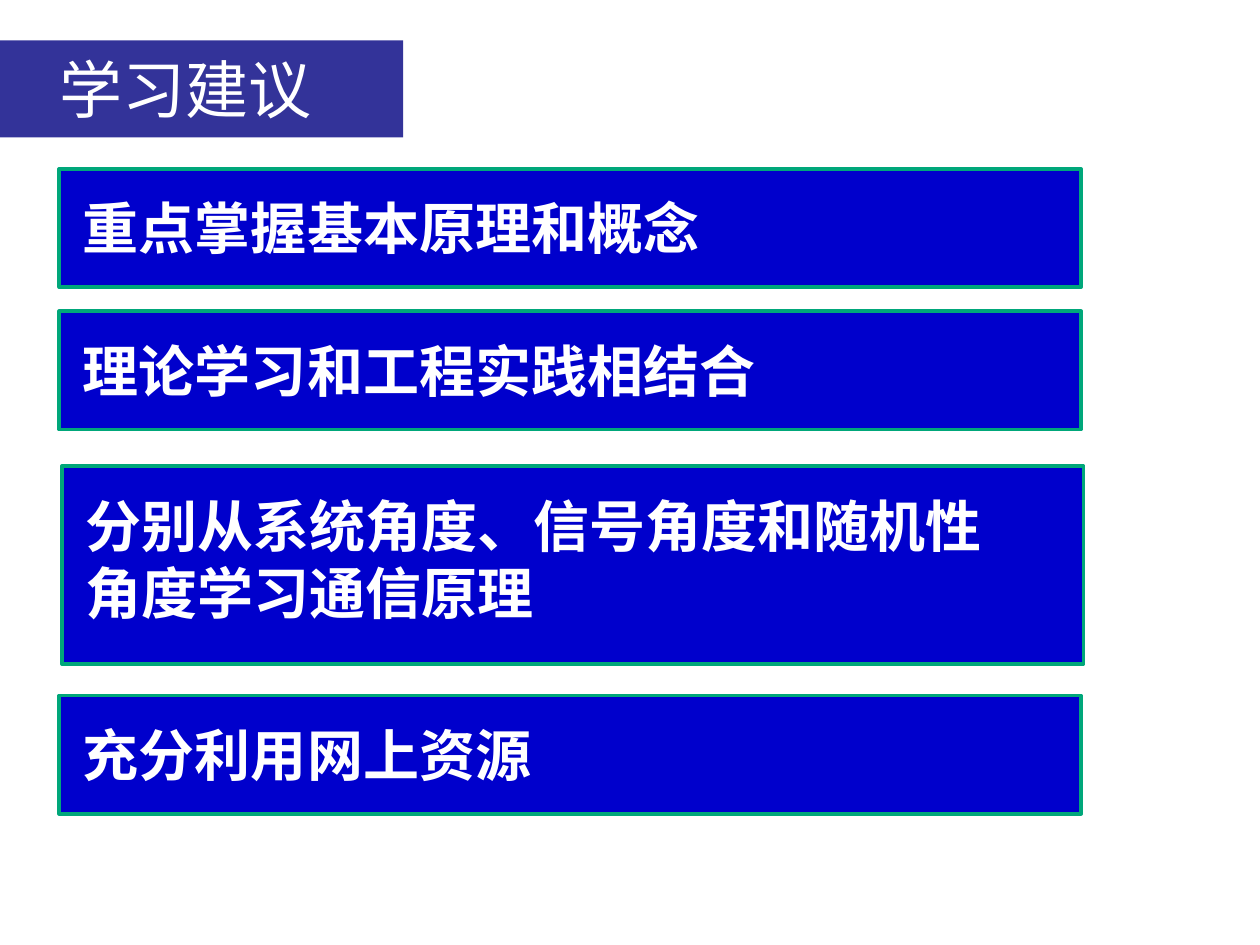
from dataclasses import dataclass

from lxml import etree
from pptx import Presentation
from pptx.dml.color import RGBColor
from pptx.enum.shapes import MSO_SHAPE
from pptx.enum.text import MSO_ANCHOR, PP_ALIGN
from pptx.oxml.ns import qn
from pptx.util import Inches, Pt

RECT = MSO_SHAPE.RECTANGLE
TOP, MIDDLE = MSO_ANCHOR.TOP, MSO_ANCHOR.MIDDLE
LEFT = PP_ALIGN.LEFT


@dataclass(frozen=True)
class Theme:
    """Colours, fonts and type sizes of the slide."""
    title_fill: str = "333399"
    panel_fill: str = "0000CC"
    panel_line: str = "00A77A"
    text: str = "FFFFFF"
    title_font: str = "Noto Sans CJK SC"
    body_font: str = "Lato"
    title_size: int = 36
    body_size: int = 32
    line_width: int = 2


THEME = Theme()
WIDTH, HEIGHT = 10, 7.5
PANEL_W = 8.11
TEXT_W = 7.49
TEXT_DX, TEXT_DY = 0.09, 0.15
ADVICE = [
    (0.47, 1.34, 0.94, "重点掌握基本原理和概念"),
    (0.47, 2.47, 0.94, "理论学习和工程实践相结合"),
    (0.49, 3.7, 1.57, "分别从系统角度、信号角度和随机性角度学习通信原理"),
    (0.47, 5.52, 0.94, "充分利用网上资源"),
]


def add_box(s, x, y, w, h, fill, line=None):
    """Add a filled rectangle, outlined if a line colour is given."""
    sp = s.shapes.add_shape(RECT, Inches(x), Inches(y), Inches(w), Inches(h))
    sp.shadow.inherit = False
    sp.fill.solid()
    sp.fill.fore_color.rgb = RGBColor.from_string(fill)
    if line:
        sp.line.color.rgb = RGBColor.from_string(line)
        sp.line.width = Pt(THEME.line_width)
    else:
        sp.line.fill.background()
    return sp


def set_text(sp, text, *, size, font, bold=False, anchor=TOP, indent=0.1):
    """Write left-aligned text into a shape with the given format."""
    tf = sp.text_frame
    tf.word_wrap = True
    tf.vertical_anchor = anchor
    tf.margin_left = Inches(indent)
    p = tf.paragraphs[0]
    p.alignment = LEFT
    r = p.add_run()
    r.text = text
    r.font.size = Pt(size)
    r.font.bold = bold
    r.font.name = font
    r.font.color.rgb = RGBColor.from_string(THEME.text)
    ea = etree.Element(qn("a:ea"), typeface=font)
    r.font._element.find(qn("a:latin")).addnext(ea)


def add_title(s, text):
    """Add the title band at the left edge of the slide."""
    sp = add_box(s, 0, 0.32, WIDTH * 0.32, 0.77, THEME.title_fill)
    set_text(sp, text, size=THEME.title_size, font=THEME.title_font,
             anchor=MIDDLE, indent=0.47)


def add_advice(s, x, y, h, text):
    """Add one outlined panel with its bold text."""
    add_box(s, x, y, PANEL_W, h, THEME.panel_fill, THEME.panel_line)
    sp = s.shapes.add_textbox(Inches(x + TEXT_DX), Inches(y + TEXT_DY),
                              Inches(TEXT_W), Inches(h - 2 * TEXT_DY))
    set_text(sp, text, size=THEME.body_size, font=THEME.body_font, bold=True)


def main():
    """Build and save the slide."""
    prs = Presentation()
    prs.slide_width, prs.slide_height = Inches(WIDTH), Inches(HEIGHT)
    s = prs.slides.add_slide(prs.slide_layouts[6])
    add_title(s, "学习建议")
    for x, y, h, text in ADVICE:
        add_advice(s, x, y, h, text)
    prs.save("out.pptx")


if __name__ == "__main__":
    main()
